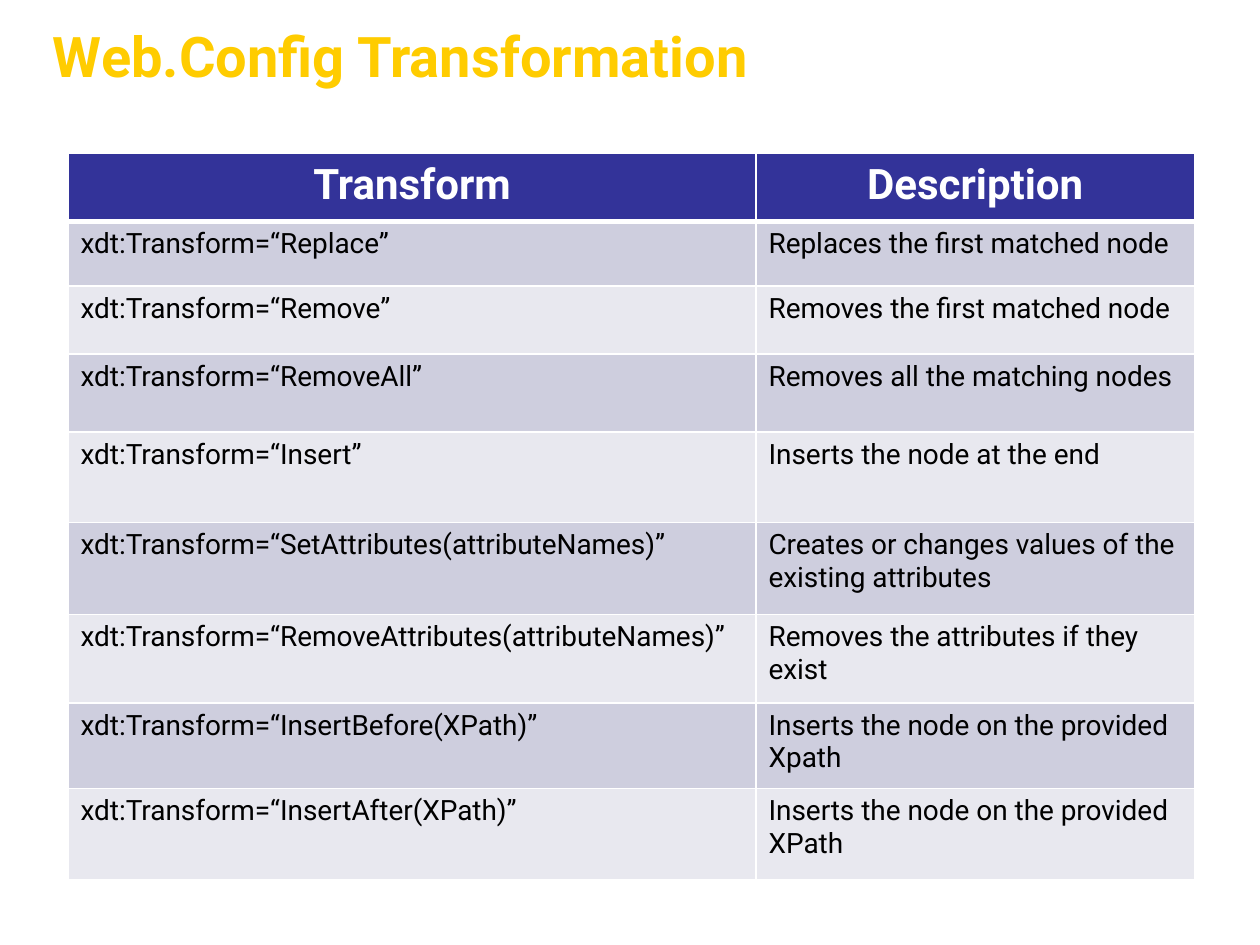
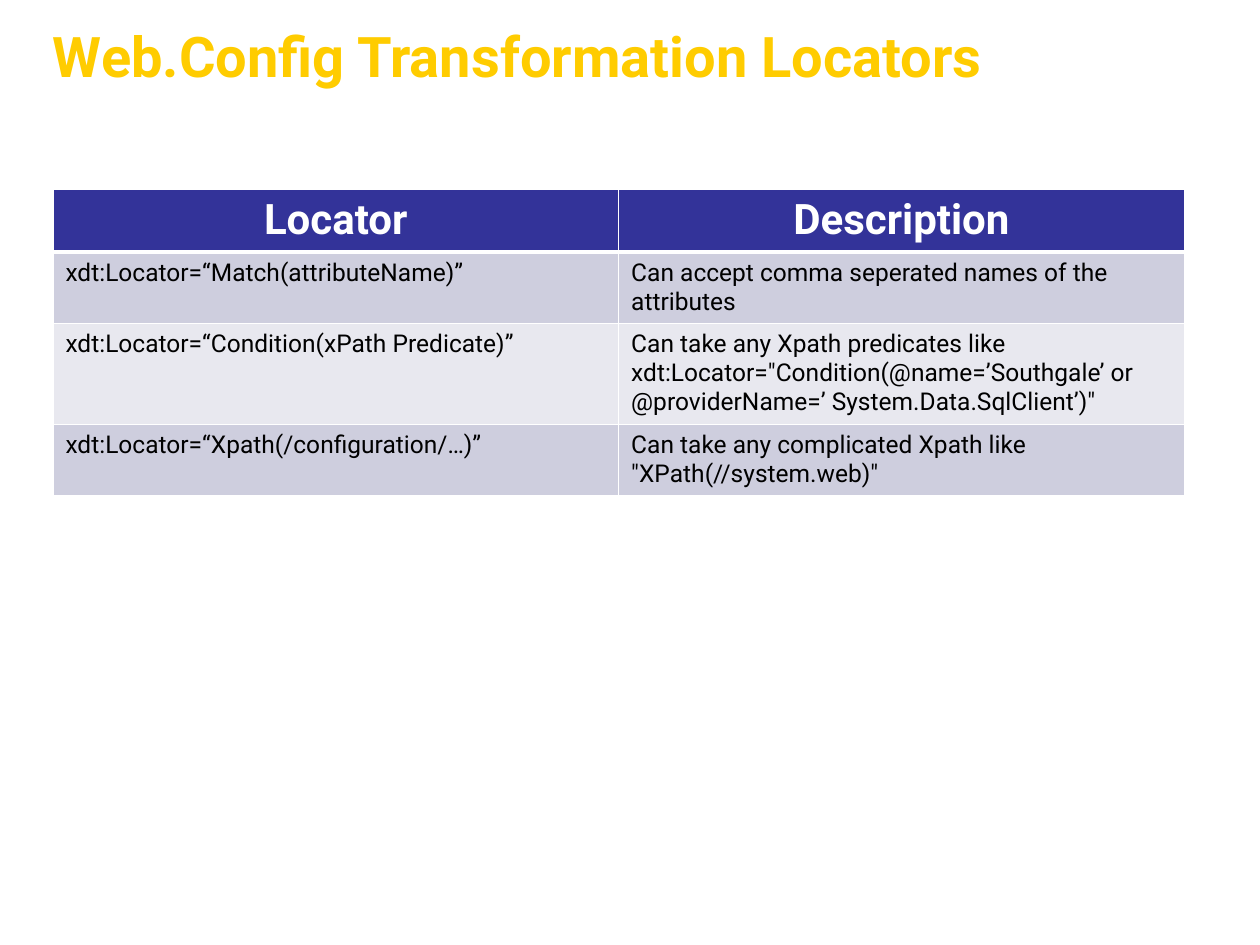
from dataclasses import dataclass

from lxml.etree import SubElement
from pptx import Presentation
from pptx.dml.color import RGBColor
from pptx.enum.text import MSO_ANCHOR, MSO_AUTO_SIZE, PP_ALIGN
from pptx.oxml import parse_xml
from pptx.oxml.ns import nsdecls, qn
from pptx.util import Inches, Pt


@dataclass(frozen=True)
class Theme:
    font: str = "Roboto"
    title: str = "FFCC00"
    header: str = "333399"
    bands: tuple = ("CECEDE", "E8E8EF")
    light: str = "FFFFFF"
    dark: str = "000000"
    title_size: int = 32
    header_size: int = 24
    rule: int = 1
    header_rule: int = 3


T = Theme()
TITLE_BOX = (0.42, 0.17, 9.16, 0.54)


def add_run(p, text, size, color, bold):
    r = p.add_run()
    r.text = text
    r.font.name, r.font.size, r.font.bold = T.font, Pt(size), bold
    r.font.color.rgb = RGBColor.from_string(color)
    return r


def add_title(s, text, box):
    """Gold left-aligned title with a dark text shadow."""
    sp = s.shapes.title
    sp.left, sp.top, sp.width, sp.height = map(Inches, box)
    tf = sp.text_frame
    tf.margin_left = tf.margin_right = tf.margin_top = tf.margin_bottom = 0
    tf.word_wrap = True
    tf.auto_size = MSO_AUTO_SIZE.SHAPE_TO_FIT_TEXT
    tf.vertical_anchor = MSO_ANCHOR.TOP
    p = tf.paragraphs[0]
    p.alignment = PP_ALIGN.LEFT
    r = add_run(p, text, T.title_size, T.title, True)
    shadow = parse_xml(
        f'<a:effectLst {nsdecls("a")}><a:outerShdw dist="25400" dir="5400000">'
        f'<a:srgbClr val="{T.dark}"/></a:outerShdw></a:effectLst>')
    r.font._element.find(qn("a:solidFill")).addnext(shadow)


def set_borders(cell, bottom):
    """White rules on all sides; they precede the fill in the cell properties."""
    props = cell._tc.get_or_add_tcPr()
    for i, side in enumerate("LRTB"):
        width = bottom if side == "B" else T.rule
        ln = SubElement(props, qn(f"a:ln{side}"), w=str(Pt(width)))
        fill = SubElement(ln, qn("a:solidFill"))
        SubElement(fill, qn("a:srgbClr"), val=T.light)
        props.insert(i, ln)


def add_banded_table(s, rows, left, top, widths, heights, size):
    """Header row over two alternating bands."""
    table = s.shapes.add_table(
        len(rows), len(widths), Inches(left), Inches(top),
        Inches(sum(widths)), Inches(sum(heights))).table
    for column, width in zip(table.columns, widths):
        column.width = Inches(width)
    for i, (row, height) in enumerate(zip(rows, heights)):
        table.rows[i].height = Inches(height)
        head = i == 0
        band = T.header if head else T.bands[(i - 1) % 2]
        for j, text in enumerate(row):
            cell = table.cell(i, j)
            cell.fill.solid()
            cell.fill.fore_color.rgb = RGBColor.from_string(band)
            set_borders(cell, T.header_rule if head else T.rule)
            p = cell.text_frame.paragraphs[0]
            p.alignment = PP_ALIGN.CENTER if head else PP_ALIGN.LEFT
            add_run(p, text, T.header_size if head else size,
                    T.light if head else T.dark, head)


def add_table_slide(prs, title, **table):
    s = prs.slides.add_slide(prs.slide_layouts[5])
    add_title(s, title, TITLE_BOX)
    add_banded_table(s, **table)


TRANSFORMS = [
    ("Replace", "Replaces the first matched node"),
    ("Remove", "Removes the first matched node"),
    ("RemoveAll", "Removes all the matching nodes"),
    ("Insert", "Inserts the node at the end"),
    ("SetAttributes(attributeNames)",
     "Creates or changes values of the existing attributes"),
    ("RemoveAttributes(attributeNames)", "Removes the attributes if they exist"),
    ("InsertBefore(XPath)", "Inserts the node on the provided Xpath"),
    ("InsertAfter(XPath)", "Inserts the node on the provided XPath"),
]
LOCATORS = [
    ("Match(attributeName)", "Can accept comma seperated names of the attributes"),
    ("Condition(xPath Predicate)",
     "Can take any Xpath predicates like xdt:Locator=\"Condition(@name=’Southgale’ "
     "or @providerName=’ System.Data.SqlClient’)\""),
    ("Xpath(/configuration/…)",
     "Can take any complicated Xpath like \"XPath(//system.web)\""),
]


def attribute_rows(name, entries):
    return [(name, "Description")] + [
        (f"xdt:{name}=“{value}”", text) for value, text in entries]


prs = Presentation()
prs.slide_width, prs.slide_height = Inches(10), Inches(7.5)

# Transform attributes
add_table_slide(
    prs, "Web.Config Transformation",
    rows=attribute_rows("Transform", TRANSFORMS), left=0.54, top=1.22,
    widths=(5.46, 3.48), size=16,
    heights=(0.54, 0.51, 0.54, 0.62, 0.72, 0.73, 0.7, 0.68, 0.72))

# Locator attributes
add_table_slide(
    prs, "Web.Config Transformation Locators",
    rows=attribute_rows("Locator", LOCATORS), left=0.42, top=1.5,
    widths=(4.49, 4.49), size=14, heights=(0.48, 0.56, 0.79, 0.56))

prs.save("out.pptx")
